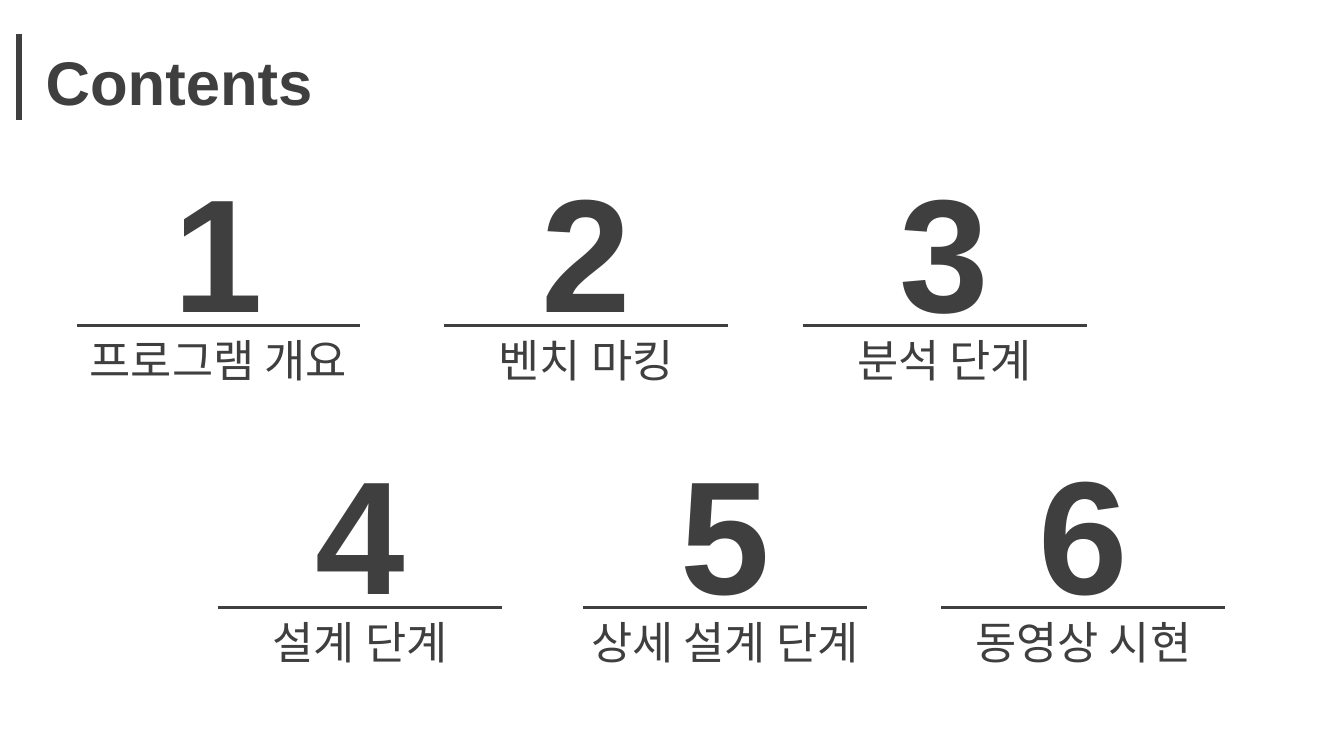
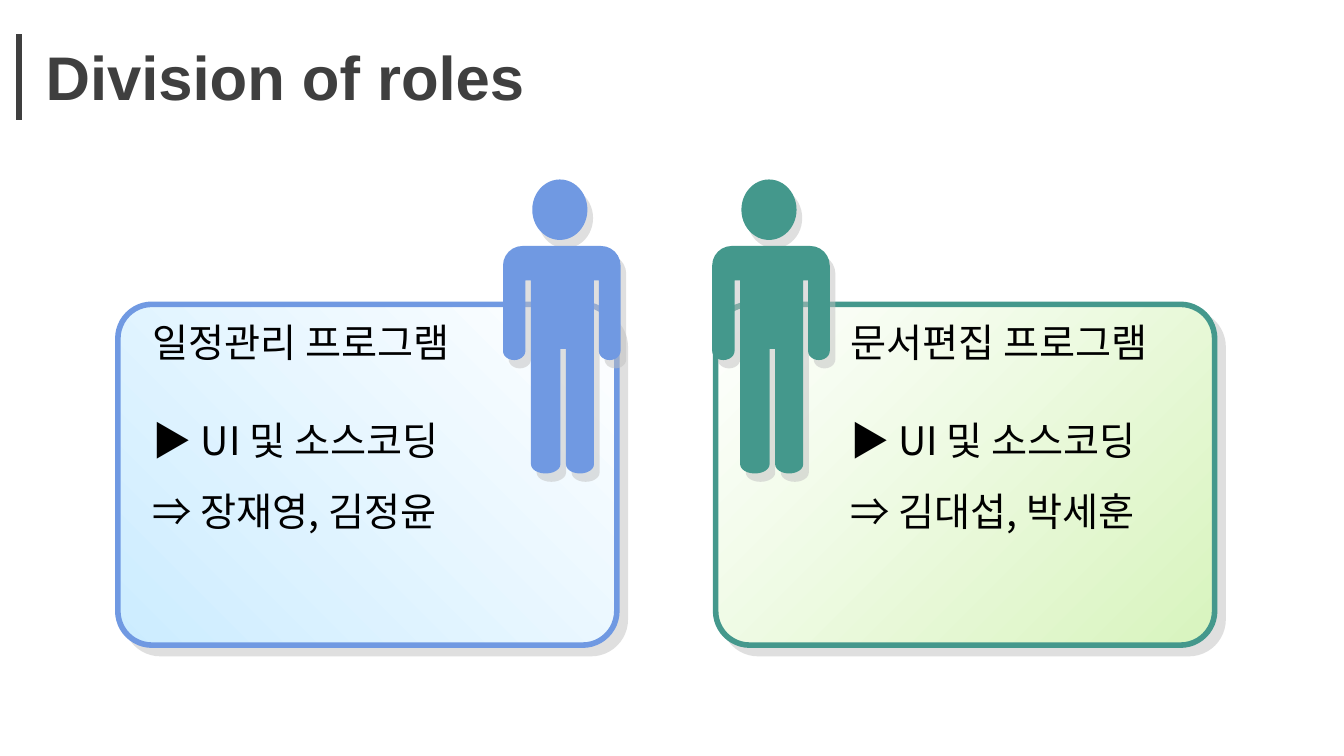
from dataclasses import dataclass
from math import cos, radians, sin

from pptx import Presentation
from pptx.dml.color import RGBColor
from pptx.enum.shapes import MSO_CONNECTOR, MSO_SHAPE
from pptx.enum.text import PP_ALIGN
from pptx.oxml.ns import qn
from pptx.oxml.xmlchemy import OxmlElement
from pptx.util import Pt

INK, BLACK, SHADOW = "3F3F3F", "000000", "C0C0C0"
LATIN, KOREAN = "Arial", "Noto Sans CJK KR"


@dataclass
class Chapter:
    number: int
    label: str
    left: float
    rule_y: float


@dataclass
class Role:
    task: str
    members: str
    colour: str
    gradient: tuple[str, str]
    angle: float  # counter-clockwise degrees
    card_x: float
    figure_x: float
    text_x: float


CHAPTERS = [
    Chapter(1, "프로그램 개요", 54.7, 232.6),
    Chapter(2, "벤치 마킹", 317.5, 232.6),
    Chapter(3, "분석 단계", 573.5, 232.6),
    Chapter(4, "설계 단계", 156, 434.2),
    Chapter(5, "상세 설계 단계", 416.5, 434.2),
    Chapter(6, "동영상 시현", 672.5, 434.2),
]
ROLES = [
    Role("일정관리 프로그램", "장재영, 김정윤", "7099E2",
         ("CCECFF", "FFFFFF"), 45, 84.2, 359.3, 102.2),
    Role("문서편집 프로그램", "김대섭, 박세훈", "44988C",
         ("FFFFFF", "D8F4BE"), 315, 511.2, 508.7, 600.5),
]


def rgb(colour: str) -> RGBColor:
    return RGBColor.from_string(colour)


def add_text(shapes, text: str, x: float, y: float, w: float, h: float, *,
             size: float, font: str = LATIN, colour: str = INK,
             bold: bool = False, align=PP_ALIGN.LEFT, wrap: bool = True,
             spacing: float = 1.0) -> None:
    """Add a text box with one paragraph for each line of text."""
    tf = shapes.add_textbox(Pt(x), Pt(y), Pt(w), Pt(h)).text_frame
    tf.word_wrap = wrap
    for i, line in enumerate(text.split("\n")):
        p = tf.add_paragraph() if i else tf.paragraphs[0]
        p.alignment, p.line_spacing = align, spacing
        r = p.add_run()
        r.text = line
        r.font.size, r.font.bold, r.font.name = Pt(size), bold, font
        r.font.color.rgb = rgb(colour)
        ea = OxmlElement("a:ea")
        ea.set("typeface", KOREAN)
        r.font._element.append(ea)


def add_rule(shapes, x1: float, y1: float, x2: float, y2: float,
             width: float) -> None:
    line = shapes.add_connector(MSO_CONNECTOR.STRAIGHT,
                                Pt(x1), Pt(y1), Pt(x2), Pt(y2))
    line.line.color.rgb = rgb(INK)
    line.line.width = Pt(width)
    line._element.spPr.append(OxmlElement("a:effectLst"))


def add_shadow(sp, distance: float, angle: float) -> None:
    """Give a shape a hard, half-transparent shadow."""
    sp.shadow.inherit = False
    outer = OxmlElement("a:outerShdw")
    settings = {"blurRad": 0, "dist": Pt(distance),
                "dir": int(angle * 60000), "algn": "ctr", "rotWithShape": 0}
    for key, value in settings.items():
        outer.set(key, str(value))
    colour = OxmlElement("a:srgbClr")
    colour.set("val", SHADOW)
    alpha = OxmlElement("a:alpha")
    alpha.set("val", "50000")
    colour.append(alpha)
    outer.append(colour)
    sp._element.spPr.find(qn("a:effectLst")).append(outer)


def arc(cx: float, cy: float, rx: float, ry: float,
        start: int, end: int) -> list[tuple[float, float]]:
    return [(cx + rx * cos(radians(a)), cy + ry * sin(radians(a)))
            for a in range(start, end - 1, -15)]


def body_outline() -> list[tuple[float, float]]:
    """Outline of a standing figure, 84 wide and 162.5 high."""
    armpit, crotch, wrist, ankle = 24.5, 73.5, 75, 156
    return [
        *arc(14, 14, 14, 14, 270, 180),
        *arc(8, wrist, 8, 6.5, 180, 0),
        (16, armpit), (20, armpit),
        *arc(30.5, ankle, 10.5, 6.5, 180, 0),
        (41, crotch), (45, crotch),
        *arc(55, ankle, 10, 6.5, 180, 0),
        (65, armpit), (68.5, armpit),
        *arc(76.25, wrist, 7.75, 6.5, 180, 0),
        *arc(70, 14, 14, 14, 0, -90),
    ]


def add_figure(shapes, x: float, colour: str) -> None:
    head = shapes.add_shape(MSO_SHAPE.OVAL, Pt(x + 20.9), Pt(128.2),
                            Pt(39.4), Pt(43.2))
    points = [(Pt(x + dx), Pt(175.7 + dy)) for dx, dy in body_outline()]
    builder = shapes.build_freeform(*points[0])
    builder.add_line_segments(points[1:], close=True)
    for sp in (head, builder.convert_to_shape()):
        sp.fill.solid()
        sp.fill.fore_color.rgb = rgb(colour)
        sp.line.fill.background()
        add_shadow(sp, 7.2, 56)


def add_card(shapes, role: Role) -> None:
    card = shapes.add_shape(MSO_SHAPE.ROUNDED_RECTANGLE, Pt(role.card_x),
                            Pt(217.4), Pt(356.4), Pt(243.4))
    card.adjustments[0] = 0.1
    card.fill.gradient()
    card.fill.gradient_angle = role.angle
    for stop, colour in zip(card.fill.gradient_stops, role.gradient):
        stop.color.rgb = rgb(colour)
    card.line.color.rgb = rgb(role.colour)
    card.line.width = Pt(4)
    add_shadow(card, 8.5, 45)


def add_titled_slide(prs, title: str, top: float):
    """Add a slide with the shared title and its side bar."""
    s = prs.slides.add_slide(prs.slide_layouts[6])
    add_text(s.shapes, title, 25.5, top, 360, 60.5,
             size=44, bold=True, wrap=False)
    add_rule(s.shapes, 13.7, 24.5, 13.7, 85.7, 4.5)
    return s


def build_contents(prs) -> None:
    s = add_titled_slide(prs, "Contents", 28.1)
    rule_w, number_w, label_w = 202.6, 79.2, 231
    for c in CHAPTERS:
        shapes = s.shapes.add_group_shape().shapes
        middle = c.left + rule_w / 2
        add_text(shapes, str(c.number), middle - number_w / 2,
                 c.rule_y - 128.2, number_w, 146.9, size=115, bold=True,
                 align=PP_ALIGN.CENTER, wrap=False)
        add_rule(shapes, c.left, c.rule_y, c.left + rule_w, c.rule_y, 2.25)
        add_text(shapes, c.label, middle - label_w / 2, c.rule_y + 1.4,
                 label_w, 46, size=32, align=PP_ALIGN.CENTER)


def build_roles(prs) -> None:
    s = add_titled_slide(prs, "Division of roles", 24.5)
    for role in ROLES:
        shapes = s.shapes.add_group_shape().shapes
        add_card(shapes, role)
        add_figure(shapes, role.figure_x, role.colour)
        style = {"size": 28, "font": KOREAN, "colour": BLACK}
        add_text(s.shapes, role.task, role.text_x, 223.9, 259.2, 41, **style)
        add_text(s.shapes, f"▶ UI 및 소스코딩\n⇒ {role.members}",
                 role.text_x, 277.2, 259.2, 108.7, spacing=1.5, **style)


def main() -> None:
    prs = Presentation()
    prs.slide_width, prs.slide_height = Pt(960), Pt(540)
    build_contents(prs)
    build_roles(prs)
    prs.save("out.pptx")


if __name__ == "__main__":
    main()
